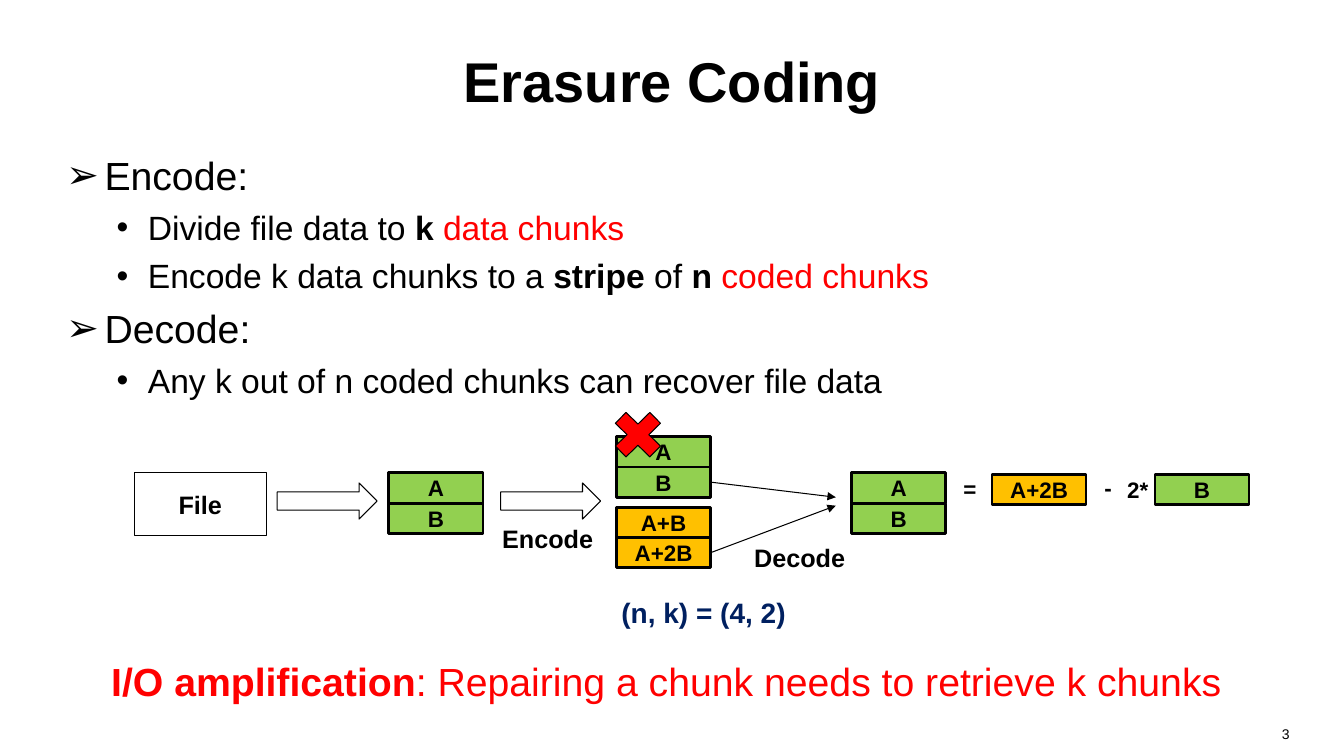
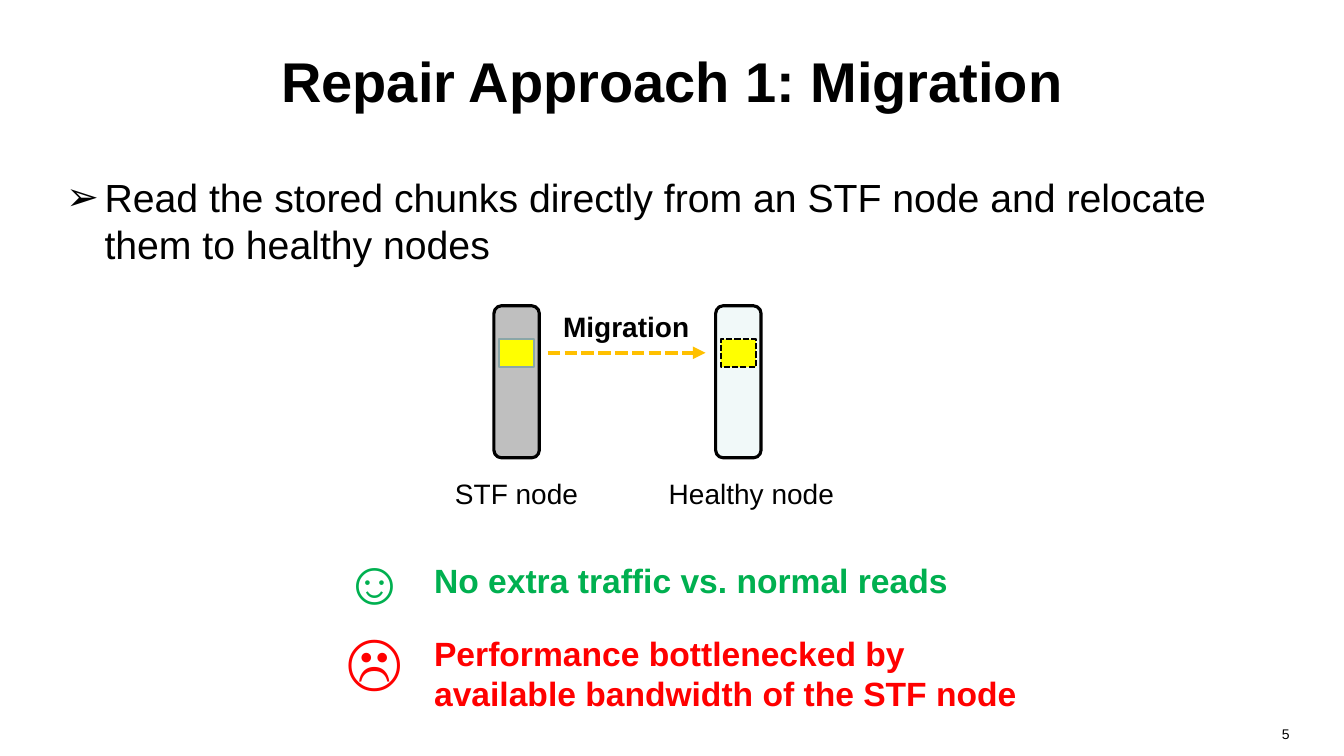
import pptx
import pptx.util
import pptx.dml.color
import pptx.enum.dml
import pptx.enum.shapes
import pptx.enum.text
import pptx.oxml.ns
import lxml.etree

RGBColor = pptx.dml.color.RGBColor
BLACK = RGBColor(0x00, 0x00, 0x00)
RED = RGBColor(0xFF, 0x00, 0x00)
GREEN = RGBColor(0x00, 0xB0, 0x50)
NAVY = RGBColor(0x00, 0x20, 0x60)
DATA_GREEN = RGBColor(0x92, 0xD0, 0x50)
PARITY_ORANGE = RGBColor(0xFF, 0xC0, 0x00)
CHUNK_YELLOW = RGBColor(0xFF, 0xFF, 0x00)
CHUNK_EDGE = RGBColor(0x8A, 0xA6, 0xA8)
FAILING_GRAY = RGBColor(0xBF, 0xBF, 0xBF)
HEALTHY_TINT = RGBColor(0xF1, 0xF9, 0xF9)

FONT = "Arial"
SHAPE = pptx.enum.shapes.MSO_SHAPE
STRAIGHT = pptx.enum.shapes.MSO_CONNECTOR.STRAIGHT
DASH = pptx.enum.dml.MSO_LINE.SQUARE_DOT
LEFT, CENTER, RIGHT = (pptx.enum.text.PP_ALIGN.LEFT, pptx.enum.text.PP_ALIGN.CENTER,
                       pptx.enum.text.PP_ALIGN.RIGHT)
TOP, MIDDLE = pptx.enum.text.MSO_ANCHOR.TOP, pptx.enum.text.MSO_ANCHOR.MIDDLE

# Page grid: 160 columns by 90 rows
deck = pptx.Presentation()
deck.slide_width = pptx.util.Inches(13.33)
deck.slide_height = pptx.util.Inches(7.5)
COLUMN = deck.slide_width / 160
ROW = deck.slide_height / 90

# Bullet levels: symbol, text indent and hanging width in inches, text size
BULLETS = [("➢", 0.38, 0.38, 28), ("•", 0.81, 0.31, 24)]


def add_box(page, area, preset=None, fill=None, line=BLACK, weight=0.75, dash=None):
    """Add a text box, or a preset shape, at (column, row, columns, rows)."""
    left, top, width, height = area
    place = [int(left * COLUMN), int(top * ROW), int(width * COLUMN), int(height * ROW)]
    if preset is None:
        box = page.shapes.add_textbox(*place)
    else:
        box = page.shapes.add_shape(preset, *place)
        box.shadow.inherit = False
        box.line.color.rgb = line
        box.line.width = pptx.util.Pt(weight)
        if dash:
            box.line.dash_style = dash
        if fill is None:
            box.fill.background()
        else:
            box.fill.solid()
            box.fill.fore_color.rgb = fill
    box.text_frame.word_wrap = True
    return box


def add_text(box, runs, size, align=LEFT, anchor=TOP, before=0):
    """Add one paragraph of (text, colour, bold) runs."""
    frame = box.text_frame
    frame.vertical_anchor = anchor
    para = frame.add_paragraph() if frame.text else frame.paragraphs[0]
    para.alignment = align
    para.space_before = pptx.util.Pt(before)
    for text, color, bold in runs:
        span = para.add_run()
        span.text = text
        span.font.name = FONT
        span.font.size = pptx.util.Pt(size)
        span.font.color.rgb = color
        span.font.bold = bold
    return para


# Shared parts: title, bulleted body, page number
outlines = [
    ("Erasure Coding", "3", (6.7, 17.4, 150.6, 30.6), [
        (0, [("Encode:", BLACK, False)]),
        (1, [("Divide file data to ", BLACK, False), ("k ", BLACK, True),
             ("data chunks", RED, False)]),
        (1, [("Encode k data chunks to a ", BLACK, False), ("stripe", BLACK, True),
             (" of ", BLACK, False), ("n ", BLACK, True), ("coded chunks", RED, False)]),
        (0, [("Decode:", BLACK, False)]),
        (1, [("Any k out of n coded chunks can recover file data", BLACK, False)]),
    ]),
    ("Repair Approach 1: Migration", "5", (6.7, 20, 146.3, 52), [
        (0, [("Read the stored chunks directly from an STF node and relocate "
              "them to healthy nodes", BLACK, False)]),
    ]),
]
pages = []
for title, number, body_area, items in outlines:
    page = deck.slides.add_slide(deck.slide_layouts[6])
    pages.append(page)
    add_text(add_box(page, (8, 2, 144, 15)), [(title, BLACK, True)], 40, CENTER, MIDDLE)
    body = add_box(page, body_area)
    for level, runs in items:
        symbol, indent, hanging, size = BULLETS[level]
        para = add_text(body, runs, size, before=6)
        settings = para._p.get_or_add_pPr()
        settings.set("marL", str(pptx.util.Inches(indent)))
        settings.set("indent", str(-pptx.util.Inches(hanging)))
        bullet_font = lxml.etree.SubElement(settings, pptx.oxml.ns.qn("a:buFont"))
        bullet_font.set("typeface", FONT)
        bullet = lxml.etree.SubElement(settings, pptx.oxml.ns.qn("a:buChar"))
        bullet.set("char", symbol)
    add_text(add_box(page, (117.4, 85.8, 37.3, 4.2)), [(number, BLACK, False)], 10, RIGHT)
coding, migration = pages

# Erasure coding: file and block arrows
file_box = add_box(coding, (16, 56.3, 15.7, 7.5), SHAPE.RECTANGLE)
add_text(file_box, [("File", BLACK, True)], 18, CENTER, MIDDLE)
for column in (33, 59.6):
    add_box(coding, (column, 57.5, 11.9, 4.3), SHAPE.RIGHT_ARROW)

# Erasure coding: stacks of chunks
CHUNK_WIDTH, CHUNK_HEIGHT = 11.2, 3.6
stacks = [
    (46.3, 56.3, DATA_GREEN, ["A", "B"]),
    (73.4, 52, DATA_GREEN, ["A", "B"]),
    (73.4, 60.4, PARITY_ORANGE, ["A+B", "A+2B"]),
    (101.4, 56.3, DATA_GREEN, ["A", "B"]),
    (118.1, 56.5, PARITY_ORANGE, ["A+2B"]),
    (137.5, 56.5, DATA_GREEN, ["B"]),
]
last_chunks = []
for column, row, fill, names in stacks:
    for index, name in enumerate(names):
        area = (column, row + index * CHUNK_HEIGHT, CHUNK_WIDTH, CHUNK_HEIGHT)
        chunk = add_box(coding, area, SHAPE.RECTANGLE, fill, weight=2)
        chunk.text_frame.margin_left = chunk.text_frame.margin_right = 0
        chunk.text_frame.margin_top = chunk.text_frame.margin_bottom = 0
        add_text(chunk, [(name, BLACK, True)], 16, CENTER, MIDDLE)
    last_chunks.append(chunk)

# Erasure coding: labels and formula signs
labels = [
    ("Encode", (58.6, 61.7, 14.8, 4.8), 18, BLACK),
    ("Decode", (88.6, 64, 15.1, 4.8), 18, BLACK),
    ("=", (113.5, 56, 4, 4.4), 16, BLACK),
    ("-", (130.3, 55.9, 4, 4.4), 16, BLACK),
    ("2*", (133, 56.1, 6, 4.4), 16, BLACK),
    ("(n, k) = (4, 2)", (72.8, 70.3, 26, 5.3), 20, NAVY),
]
for text, area, size, color in labels:
    add_text(add_box(coding, area), [(text, color, True)], size)
add_text(add_box(coding, (10.3, 76, 138, 10)),
         [("I/O amplification", RED, True),
          (": Repairing a chunk needs to retrieve k chunks", RED, False)],
         28, CENTER, MIDDLE)
add_box(coding, (72, 47.9, 7.9, 7.7), SHAPE.MATH_MULTIPLY, RED)

# Migration: nodes, each with a chunk and a caption
nodes = [
    ("STF node", 58.8, FAILING_GRAY, CHUNK_EDGE, None, (51, 21)),
    ("Healthy node", 85.2, HEALTHY_TINT, BLACK, DASH, (74.5, 29.9)),
]
for name, column, fill, edge, dash, (caption_column, caption_width) in nodes:
    add_box(migration, (column, 36.4, 5.4, 18.1), SHAPE.ROUNDED_RECTANGLE, fill, weight=2.25)
    add_box(migration, (column + 0.6, 40.4, 4.2, 3.3), SHAPE.RECTANGLE, CHUNK_YELLOW,
            edge, 1.5, dash)
    caption = add_box(migration, (caption_column, 56.4, caption_width, 4.6))
    add_text(caption, [(name, BLACK, False)], 20, CENTER, MIDDLE)
add_text(add_box(migration, (65.5, 36.5, 18.1, 4.6)), [("Migration", BLACK, True)],
         20, CENTER, MIDDLE)

# Migration: verdicts
verdicts = [
    ("☺", 64, GREEN, "No extra traffic vs. normal reads", (50.5, 65.3, 85.4, 7.6)),
    ("☹", 73.4, RED, "Performance bottlenecked by available bandwidth of the STF node",
     (50.5, 74.2, 74, 11.8)),
]
for face, row, color, text, area in verdicts:
    add_text(add_box(migration, (38.6, row, 12, 10)), [(face, color, False)], 44, CENTER, before=6)
    add_text(add_box(migration, area), [(text, color, True)], 24, LEFT, MIDDLE)

# Thin arrows on both pages: start and end as (column, row), chunk to start from
arrows = [
    (coding, (84.6, 57.4), (99.5, 59.2), BLACK, 0.75, None, last_chunks[1]),
    (coding, (84.6, 65.8), (99.5, 60.2), BLACK, 0.75, None, last_chunks[2]),
    (migration, (65.2, 42), (84, 42), PARITY_ORANGE, 3, DASH, None),
]
for page, start, end, color, weight, dash, source in arrows:
    arrow = page.shapes.add_connector(STRAIGHT, int(start[0] * COLUMN), int(start[1] * ROW),
                                      int(end[0] * COLUMN), int(end[1] * ROW))
    if source is not None:
        arrow.begin_connect(source, 3)
    arrow.line.color.rgb = color
    arrow.line.width = pptx.util.Pt(weight)
    if dash:
        arrow.line.dash_style = dash
    tip = lxml.etree.SubElement(arrow.line._get_or_add_ln(), pptx.oxml.ns.qn("a:tailEnd"))
    tip.set("type", "triangle")
    lxml.etree.SubElement(arrow._element.spPr, pptx.oxml.ns.qn("a:effectLst"))

deck.save("out.pptx")
